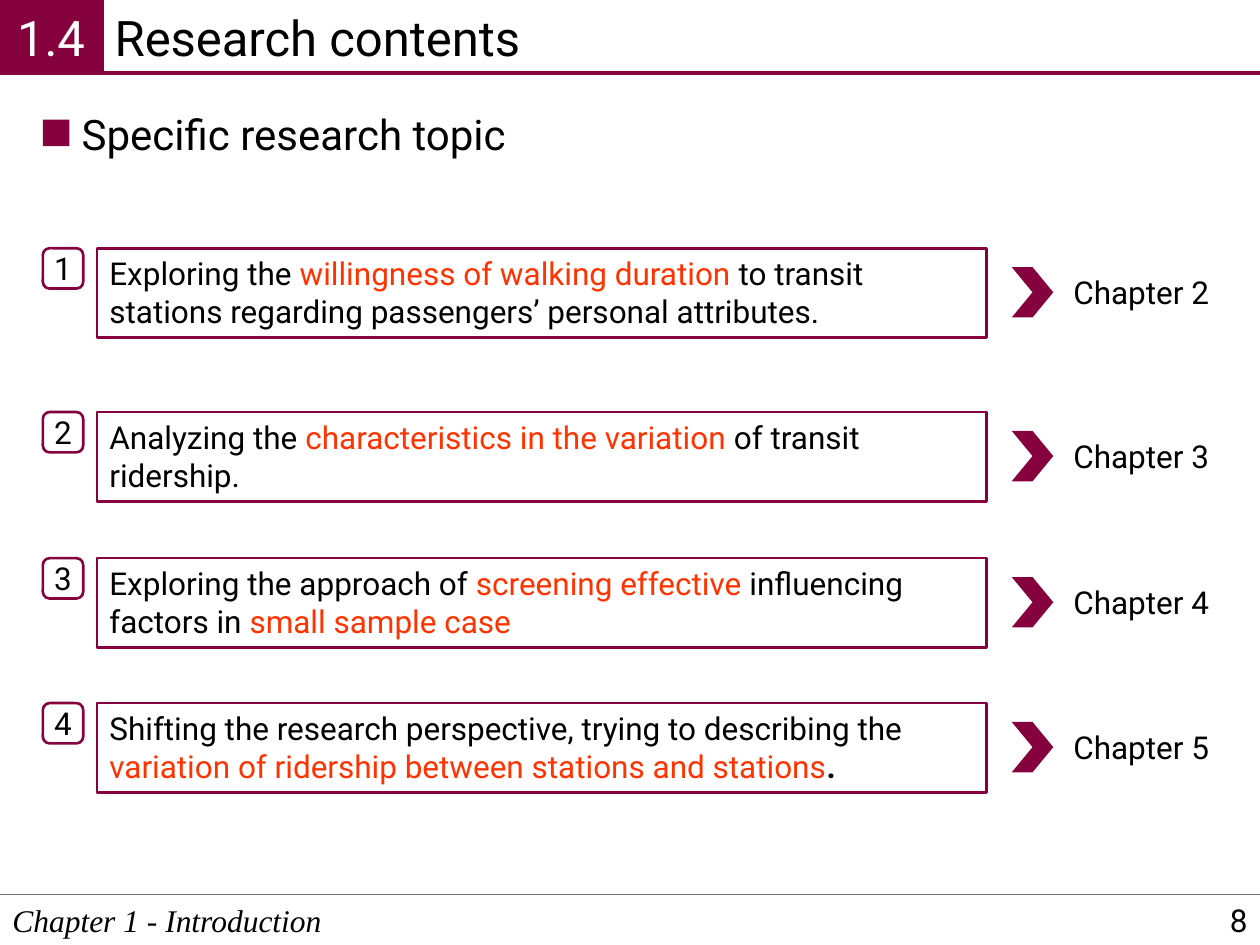
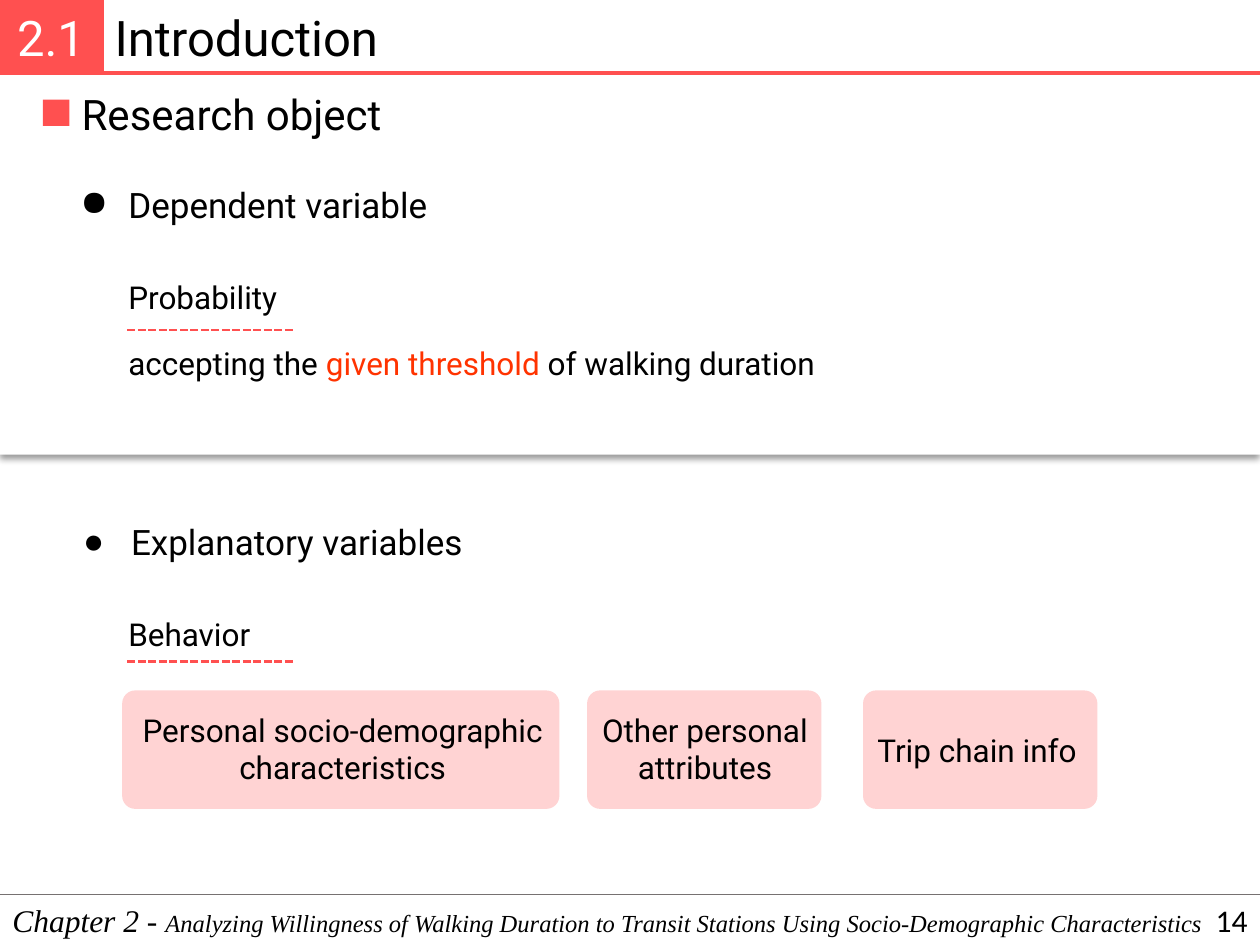
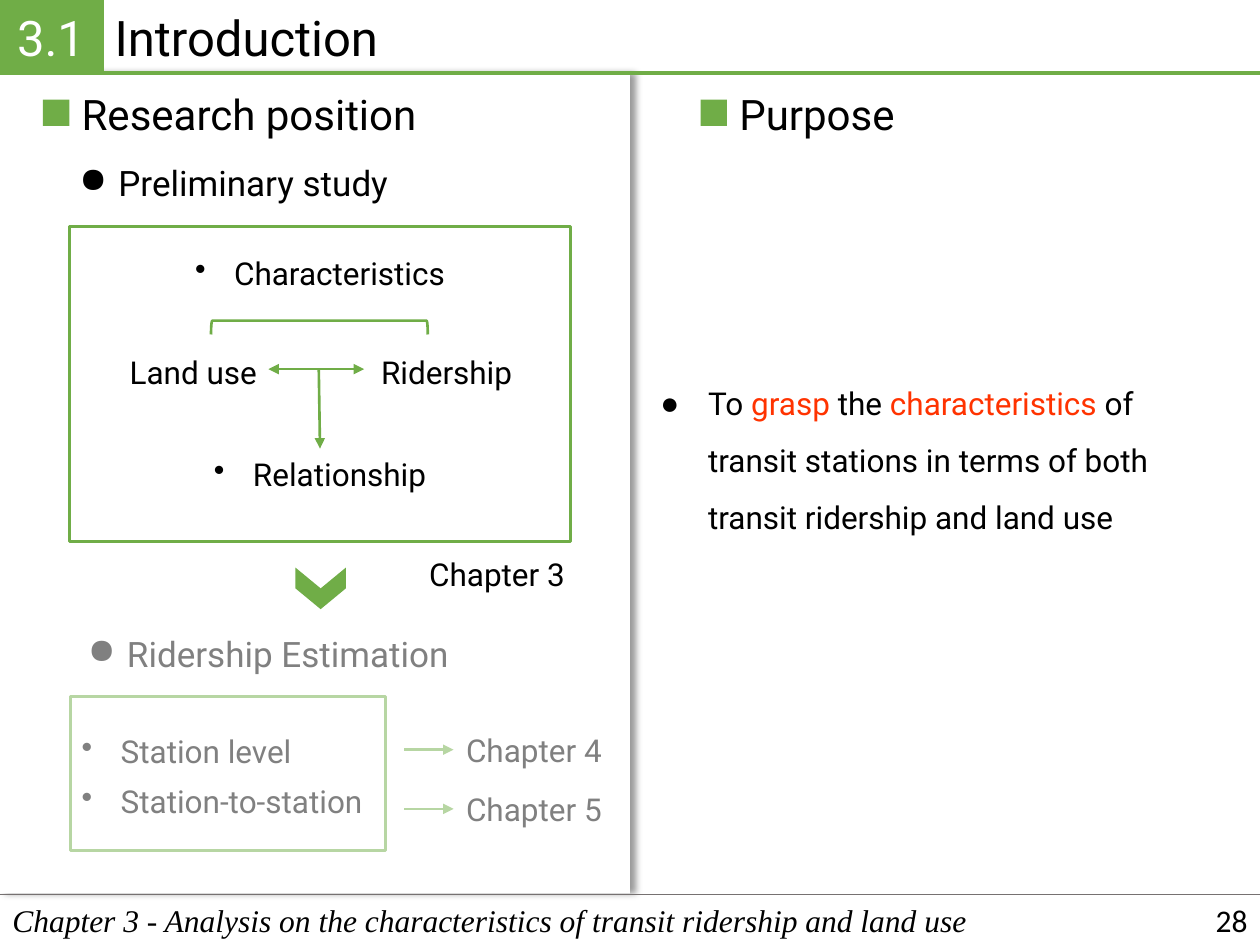
from dataclasses import dataclass

import lxml.etree
import pptx
import pptx.dml.color
import pptx.enum.dml
import pptx.enum.shapes
import pptx.enum.text
import pptx.oxml.ns
import pptx.util

Inches = pptx.util.Inches
Pt = pptx.util.Pt
qn = pptx.oxml.ns.qn
Shape = pptx.enum.shapes.MSO_SHAPE
Align = pptx.enum.text.PP_ALIGN
Anchor = pptx.enum.text.MSO_ANCHOR


@dataclass(frozen=True)
class Theme:
    font: str = "Roboto"
    number_font: str = "Calibri"
    footer_font: str = "Times New Roman"
    ink: str = "000000"
    paper: str = "FFFFFF"
    accent: str = "FF3300"
    rule: str = "767171"
    wine: str = "85023E"
    coral: str = "FF5050"
    green: str = "70AD47"
    title: int = 28
    heading: int = 24
    topic: int = 20
    body: int = 18
    small: int = 14


THEME = Theme()
ACCENT = {"color": THEME.accent}
BOLD = {"bold": True}
SMALL = {"size": THEME.small}
CENTER = {"alignment": Align.CENTER}
DOT = {"bullet": "●", "indent": 0.38}
NEAR_DOT = {"bullet": "●", "indent": 0.31}
POINT = {"bullet": "•", "indent": 0.31}

CONTENTS = {
    "color": THEME.wine, "number": "1.4", "title": "Research contents",
    "footer": "Chapter 1 - Introduction", "page": "8", "page_font": THEME.font,
}
VARIABLES = {
    "color": THEME.coral, "number": "2.1", "title": "Introduction",
    "footer": [("Chapter 2 - ", {}),
               ("Analyzing Willingness of Walking Duration to Transit Stations "
                "Using Socio-Demographic Characteristics", SMALL)],
    "page": "14", "page_font": THEME.number_font, "panel": (10, 3.03, 90),
}
POSITION = {
    "color": THEME.green, "number": "3.1", "title": "Introduction",
    "footer": "Chapter 3 - Analysis on the characteristics of transit ridership and land use",
    "page": "28", "page_font": THEME.number_font, "panel": (5, 6.51, 0),
}

RESEARCH_TOPICS = [
    (1.97, [("Exploring the ", {}), ("willingness of walking duration", ACCENT),
            (" to transit stations regarding passengers’ personal attributes.", {})]),
    (3.27, [("Analyzing the ", {}), ("characteristics in the variation ", ACCENT),
            ("of transit ridership.", {})]),
    (4.43, [("Exploring the approach of ", {}), ("screening effective ", ACCENT),
            ("influencing factors in", {}), (" small sample case", ACCENT)]),
    (5.58, [("Shifting the research perspective, trying to describing the ", {}),
            ("variation of ridership between stations and stations", ACCENT), (".", BOLD)]),
]
THRESHOLD = [("accepting the ", {}), ("given threshold", ACCENT), (" of walking duration", {})]
BEHAVIOR_CARDS = [
    ("Personal socio-demographic characteristics", 0.97, 3.47, (0.86, 5.59, 3.72, 0.71)),
    ("Other personal attributes", 4.66, 1.86, (4.44, 5.59, 2.31, 0.71)),
    ("Trip chain info", 6.85, 1.86, (6.6, 5.75, 2.31, 0.4)),
]
PURPOSE = [("To ", {}), ("grasp", ACCENT), (" the ", {}), ("characteristics", ACCENT),
           (" of transit stations in terms of both transit ridership and land use", {})]
ESTIMATION_LEVELS = [
    ("Station level", 5.76, "Chapter 4", 5.75),
    ("Station-to-station", 6.16, "Chapter 5", 6.22),
]


def rgb(color):
    return pptx.dml.color.RGBColor.from_string(color)


def add_xml(parent, tag, **attributes):
    return lxml.etree.SubElement(parent, qn(tag), attributes)


def set_alpha(color_element, percent):
    add_xml(color_element, "a:alpha", val=str(percent * 1000))


def write(shape, runs, size=THEME.body, font=THEME.font, color=THEME.ink, italic=False,
          alignment=Align.LEFT, anchor=Anchor.TOP, wrap=True, inset=None,
          bullet=None, indent=0, spacing=1):
    frame = shape.text_frame
    frame_format = {"auto_size": pptx.enum.text.MSO_AUTO_SIZE.NONE,
                    "word_wrap": wrap, "vertical_anchor": anchor}
    if inset is not None:
        for side in ("left", "top", "right", "bottom"):
            frame_format[f"margin_{side}"] = Inches(inset)
    for name, value in frame_format.items():
        setattr(frame, name, value)
    paragraph = frame.paragraphs[0]
    paragraph_format = {"alignment": alignment, "line_spacing": spacing, "space_before": Pt(0)}
    for name, value in paragraph_format.items():
        setattr(paragraph, name, value)
    if bullet:
        properties = paragraph._p.get_or_add_pPr()
        properties.set("marL", str(Inches(indent)))
        properties.set("indent", str(-Inches(indent)))
        add_xml(properties, "a:buChar", char=bullet)
    for text, changes in [(runs, {})] if isinstance(runs, str) else runs:
        run = paragraph.add_run()
        run.text = text
        run_format = {"name": font, "size": Pt(changes.get("size", size)),
                      "bold": changes.get("bold", False), "italic": italic}
        for name, value in run_format.items():
            setattr(run.font, name, value)
        run.font.color.rgb = rgb(changes.get("color", color))
    return shape


def add_text(slide, box, runs, **text_format):
    return write(slide.shapes.add_textbox(*map(Inches, box)), runs, **text_format)


def fill_placeholder(placeholder, box, runs, **text_format):
    for name, value in zip(("left", "top", "width", "height"), box):
        setattr(placeholder, name, Inches(value))
    return write(placeholder, runs, **text_format)


def add_shape(slide, kind, box, fill=None, line=None, width=1.5, alpha=None, rotation=0):
    shape = slide.shapes.add_shape(kind, *map(Inches, box))
    shape.shadow.inherit = False
    shape.rotation = rotation
    if fill:
        shape.fill.solid()
        shape.fill.fore_color.rgb = rgb(fill)
        if alpha:
            set_alpha(shape.element.spPr.find(qn("a:solidFill"))[0], alpha)
    else:
        shape.fill.background()
    if line:
        shape.line.color.rgb = rgb(line)
        shape.line.width = Pt(width)
    else:
        shape.line.fill.background()
    return shape


def add_line(slide, start, end, color, width=1.5, dashed=False, head=False, tail=False):
    connector = slide.shapes.add_connector(
        pptx.enum.shapes.MSO_CONNECTOR.STRAIGHT, *map(Inches, start + end))
    connector.line.color.rgb = rgb(color)
    connector.line.width = Pt(width)
    if dashed:
        connector.line.dash_style = pptx.enum.dml.MSO_LINE.SQUARE_DOT
    properties = connector.element.find(qn("p:spPr"))
    for tag, wanted in (("a:headEnd", head), ("a:tailEnd", tail)):
        if wanted:
            add_xml(properties.find(qn("a:ln")), tag, type="triangle")
    add_xml(properties, "a:effectLst")
    return connector


def add_panel(slide, width, height, direction):
    panel = add_shape(slide, Shape.RECTANGLE, (0, 0.58, width, height), THEME.paper)
    effects = panel.element.spPr.find(qn("a:effectLst"))
    shadow = add_xml(effects, "a:outerShdw", blurRad=str(Pt(4)), dist=str(Pt(3)),
                     dir=str(direction * 60000), algn="t" if direction else "l",
                     rotWithShape="0")
    set_alpha(add_xml(shadow, "a:srgbClr", val=THEME.ink), 40)


def add_heading(slide, left, top, width, text, color):
    add_shape(slide, Shape.RECTANGLE, (left, top + 0.14, 0.21, 0.21), color)
    add_text(slide, (left + 0.21, top, width, 0.5), text, size=THEME.heading, wrap=False)


def start_slide(presentation, layout, content):
    slide = presentation.slides.add_slide(presentation.slide_layouts[layout])
    color = content["color"]
    if "panel" in content:
        add_panel(slide, *content["panel"])
    fill_placeholder(slide.shapes.title, (0.81, 0.01, 9.19, 0.57), content["title"],
                     size=THEME.title)
    badge = add_shape(slide, Shape.RECTANGLE, (0, 0, 0.81, 0.58), color, color, 2.25)
    write(badge, content["number"], size=THEME.title, color=THEME.paper,
          anchor=Anchor.MIDDLE, inset=0.06, **CENTER)
    add_line(slide, (0.81, 0.58), (10, 0.58), color, 2.25)
    add_text(slide, (0, 7.1, 10, 0.4), content["footer"], font=THEME.footer_font, italic=True)
    add_line(slide, (0, 7.1), (10, 7.1), THEME.rule, 1)
    add_text(slide, (7.75, 7.1, 2.25, 0.4), content["page"], font=content["page_font"],
             alignment=Align.RIGHT, anchor=Anchor.MIDDLE)
    return slide


def build_contents(presentation):
    slide = start_slide(presentation, 5, CONTENTS)
    color = CONTENTS["color"]
    add_heading(slide, 0.34, 0.81, 3.59, "Specific research topic", color)
    for number, (top, topic) in enumerate(RESEARCH_TOPICS, 1):
        marker = add_shape(slide, Shape.ROUNDED_RECTANGLE, (0.34, top, 0.32, 0.32), line=color)
        write(marker, str(number), anchor=Anchor.MIDDLE, inset=0, **CENTER)
        write(add_shape(slide, Shape.RECTANGLE, (0.77, top, 7.06, 0.71), line=color), topic)
        add_shape(slide, Shape.CHEVRON, (8.03, top + 0.15, 0.33, 0.4), color)
        add_text(slide, (8.42, top + 0.15, 1.31, 0.4), f"Chapter {number + 1}", wrap=False)


def build_variables(presentation):
    slide = start_slide(presentation, 1, VARIABLES)
    color = VARIABLES["color"]
    add_heading(slide, 0.34, 0.65, 2.64, "Research object", color)
    add_text(slide, (0.54, 1.41, 3.01, 0.44), "Dependent variable", size=THEME.topic,
             wrap=False, **DOT)
    add_text(slide, (0.92, 2.16, 1.38, 0.4), "Probability", wrap=False)
    add_text(slide, (0.92, 2.68, 6.05, 0.4), THRESHOLD)
    fill_placeholder(slide.placeholders[1], (0.56, 4.08, 8.82, 0.44), "Explanatory variables",
                     size=THEME.topic, **DOT)
    add_text(slide, (0.92, 4.83, 1.36, 0.4), "Behavior")
    for top in (2.62, 5.25):
        add_line(slide, (1.01, top), (2.34, top), color, dashed=True)
    for label, left, width, label_box in BEHAVIOR_CARDS:
        card = add_shape(slide, Shape.ROUNDED_RECTANGLE, (left, 5.48, width, 0.94), color, alpha=25)
        card.adjustments[0] = 0.11
        add_text(slide, label_box, label, **CENTER)


def build_preliminary_study(slide, color):
    add_text(slide, (0.34, 1.23, 3.03, 0.44), "Preliminary study", size=THEME.topic,
             **CENTER, **NEAR_DOT)
    add_shape(slide, Shape.RECTANGLE, (0.55, 1.8, 3.98, 2.5), line=color)
    add_text(slide, (0.55, 1.97, 3.98, 0.4), "Characteristics", **CENTER, **POINT)
    add_shape(slide, Shape.LEFT_BRACKET, (2.48, 1.74, 0.11, 1.72), line=color, rotation=90)
    for left, label in ((0.55, "Land use"), (2.56, "Ridership")):
        add_text(slide, (left, 2.75, 1.97, 0.4), label, **CENTER)
    relationship = add_text(slide, (0.55, 3.56, 3.98, 0.4), "Relationship", **CENTER, **POINT)
    add_line(slide, (2.13, 2.93), (2.89, 2.93), color, head=True, tail=True)
    down_arrow = add_line(slide, (2.53, 2.93), (2.54, 3.56), color, tail=True)
    down_arrow.end_connect(relationship, 0)
    add_shape(slide, Shape.CHEVRON, (2.38, 4.47, 0.33, 0.4), color, rotation=90)
    add_text(slide, (3.29, 4.36, 1.31, 0.4), "Chapter 3", wrap=False, **CENTER)


def build_estimation(slide, color):
    add_text(slide, (0.34, 4.97, 3.58, 0.44), "Ridership Estimation", size=THEME.topic,
             **CENTER, **NEAR_DOT)
    add_shape(slide, Shape.RECTANGLE, (0.56, 5.53, 2.5, 1.22), line=color)
    for level, level_top, chapter, chapter_top in ESTIMATION_LEVELS:
        add_text(slide, (0.55, level_top, 2.5, 0.4), level, **POINT)
        chapter_label = add_text(slide, (3.6, chapter_top, 1.31, 0.4), chapter, wrap=False)
        middle = chapter_top + 0.2
        arrow = add_line(slide, (3.21, middle), (3.6, middle), color, tail=True)
        arrow.end_connect(chapter_label, 1)
    add_shape(slide, Shape.RECTANGLE, (0.44, 4.97, 4.48, 1.94), THEME.paper, alpha=50)


def build_position(presentation):
    slide = start_slide(presentation, 1, POSITION)
    color = POSITION["color"]
    add_heading(slide, 0.34, 0.65, 2.9, "Research position", color)
    add_heading(slide, 5.56, 0.65, 1.46, "Purpose", color)
    fill_placeholder(slide.placeholders[1], (5.14, 2.85, 4.72, 1.41), PURPOSE, spacing=1.5, **DOT)
    build_preliminary_study(slide, color)
    build_estimation(slide, color)


def main():
    presentation = pptx.Presentation()
    presentation.slide_width = Inches(10)
    presentation.slide_height = Inches(7.5)
    for build in (build_contents, build_variables, build_position):
        build(presentation)
    presentation.save("out.pptx")


if __name__ == "__main__":
    main()
